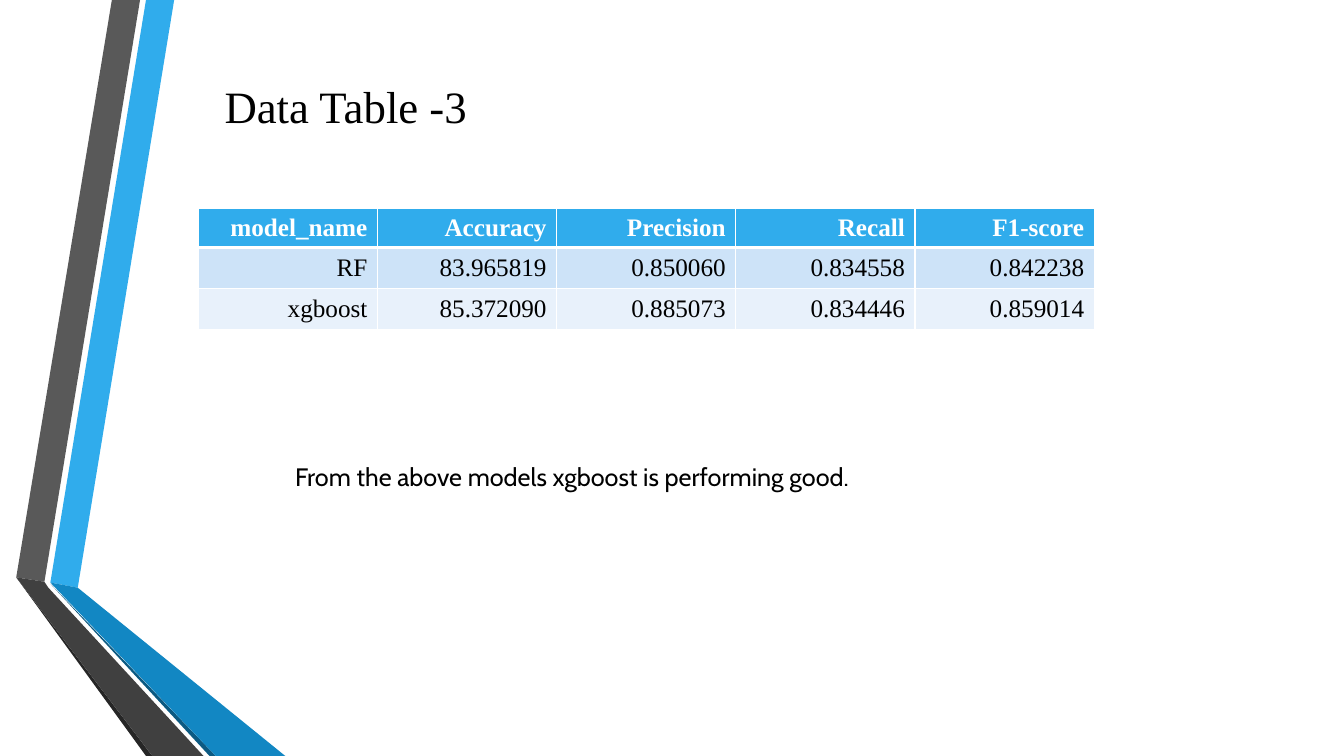
from lxml.etree import SubElement
from pptx import Presentation
from pptx.dml.color import RGBColor
from pptx.enum.text import MSO_ANCHOR as Anchor, MSO_AUTO_SIZE as AutoSize, PP_ALIGN as Align
from pptx.oxml.ns import qn
from pptx.util import Cm, Pt

COLORS = {
    "white": "FFFFFF", "black": "000000",
    "sky": "30ACEC", "blue": "1287C3", "navy": "0C5A82",
    "grey": "595959", "charcoal": "404040", "soot": "262626",
    "odd_row": "CDE3F8", "even_row": "E8F1FB",
}
SERIF, SANS = "Times New Roman", "Cabin"
BOTTOM = 19.05

# Folded ribbons on the left edge: colour and corners in centimetres
RIBBONS = [
    ("sky", [(1.27, 14.68), (1.96, 14.81), (4.39, 0), (3.68, 0)]),
    ("grey", [(3.53, 0), (2.82, 0), (0.41, 14.55), (1.12, 14.66)]),
    ("soot", [(0.41, 14.55), (3.68, BOTTOM), (3.84, BOTTOM)]),
    ("navy", [(1.27, 14.71), (5.28, BOTTOM), (5.44, BOTTOM)]),
    ("blue", [(1.27, 14.68), (5.44, BOTTOM), (7.19, BOTTOM), (1.96, 14.81)]),
    ("charcoal", [(5.13, BOTTOM), (1.22, 14.81), (1.12, 14.66), (0.41, 14.55), (3.84, BOTTOM)]),
]
SCORES = [
    ["model_name", "Accuracy", "Precision", "Recall", "F1-score"],
    ["RF", "83.965819", "0.850060", "0.834558", "0.842238"],
    ["xgboost", "85.372090", "0.885073", "0.834446", "0.859014"],
]
ROW_HEIGHTS = [0.98, 1.03, 1.03]
ROW_FILLS = ["sky", "odd_row", "even_row"]


def rgb(name):
    return RGBColor.from_string(COLORS[name])


def set_font(para, name, size, color, bold=False):
    font = para.font
    font.name, font.size, font.bold = name, Pt(size), bold
    font.color.rgb = rgb(color)


def add_ribbon(page, color, corners):
    points = [(Cm(x), Cm(y)) for x, y in corners]
    builder = page.shapes.build_freeform(*points[0])
    builder.add_line_segments(points[1:], close=True)
    shape = builder.convert_to_shape()
    shape.shadow.inherit = False
    shape.fill.solid()
    shape.fill.fore_color.rgb = rgb(color)
    shape.line.fill.background()


def add_text(page, text, left, top, width, height, font, size):
    box = page.shapes.add_textbox(Cm(left), Cm(top), Cm(width), Cm(height))
    frame = box.text_frame
    frame.word_wrap = True
    frame.auto_size = AutoSize.SHAPE_TO_FIT_TEXT
    para = frame.paragraphs[0]
    para.text = text
    set_font(para, font, size, "black")


def set_borders(cell, top, bottom):
    """Draw white cell borders; must run before the cell gets its fill."""
    properties = cell._tc.get_or_add_tcPr()
    for side, width in (("L", 1), ("R", 1), ("T", top), ("B", bottom)):
        line = SubElement(properties, qn(f"a:ln{side}"), w=str(Pt(width)))
        fill = SubElement(line, qn("a:solidFill"))
        SubElement(fill, qn("a:srgbClr"), val=COLORS["white"])


def add_score_table(page, left, top, width):
    frame = page.shapes.add_table(len(SCORES), len(SCORES[0]), Cm(left), Cm(top),
                                  Cm(width), Cm(sum(ROW_HEIGHTS)))
    table = frame.table
    for row, values in enumerate(SCORES):
        table.rows[row].height = Cm(ROW_HEIGHTS[row])
        header = row == 0
        for column, value in enumerate(values):
            cell = table.cell(row, column)
            set_borders(cell, top=3 if row == 1 else 1, bottom=3 if header else 1)
            cell.fill.solid()
            cell.fill.fore_color.rgb = rgb(ROW_FILLS[row])
            cell.vertical_anchor = Anchor.MIDDLE
            para = cell.text_frame.paragraphs[0]
            para.text = value
            para.alignment = Align.RIGHT
            set_font(para, SERIF, 18, "white" if header else "black", header)


def main():
    deck = Presentation()
    deck.slide_width, deck.slide_height = Cm(33.87), Cm(BOTTOM)
    page = deck.slides.add_slide(deck.slide_layouts[6])
    for color, corners in RIBBONS:
        add_ribbon(page, color, corners)
    add_score_table(page, left=5, top=5.26, width=22.58)
    add_text(page, "Data Table -3", 5.41, 1.85, 12.45, 1.63, SERIF, 32)
    add_text(page, "From the above models xgboost is performing good.",
             7.19, 11.51, 14.73, 1.02, SANS, 18)
    deck.save("out.pptx")


if __name__ == "__main__":
    main()
